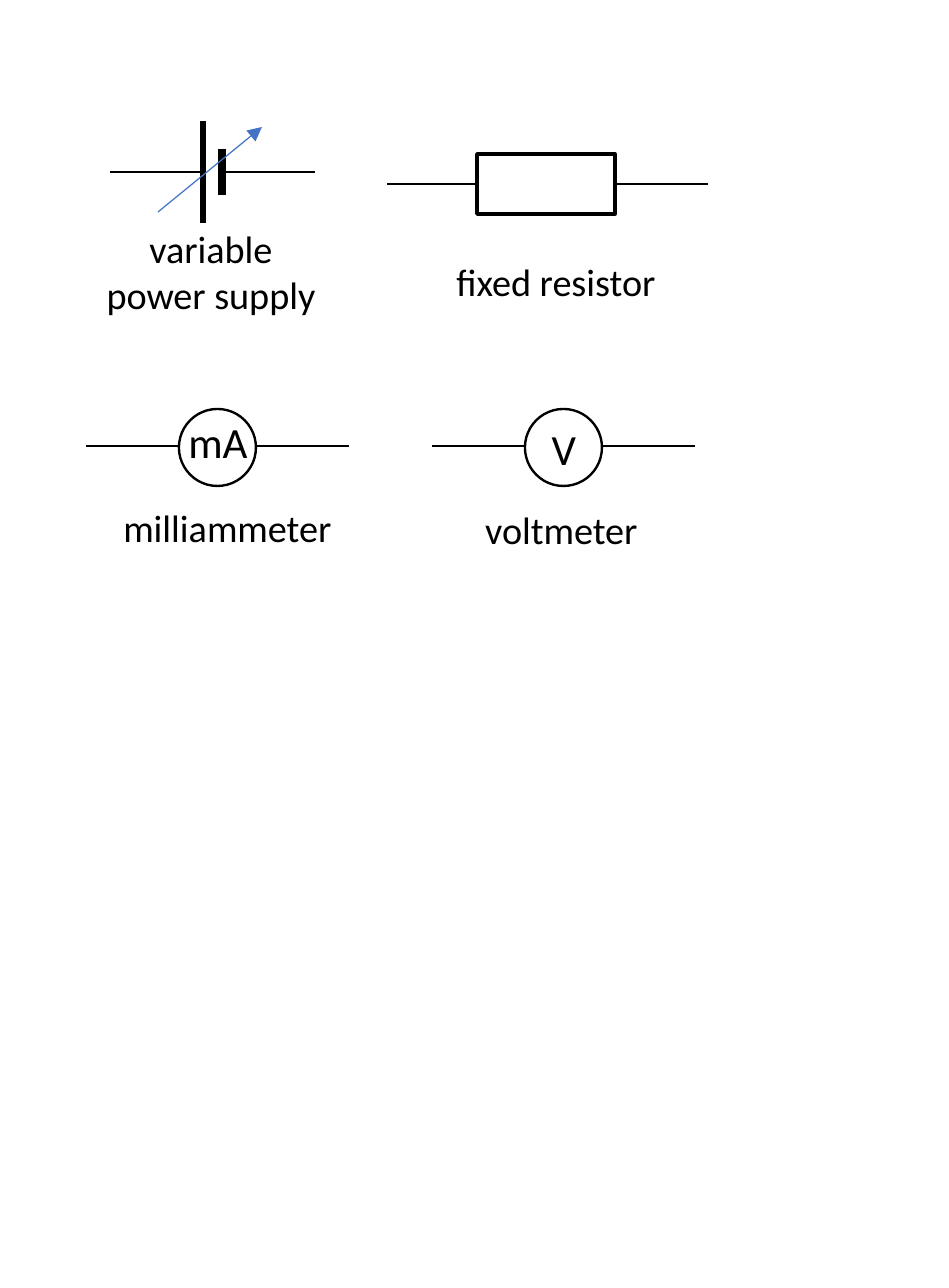
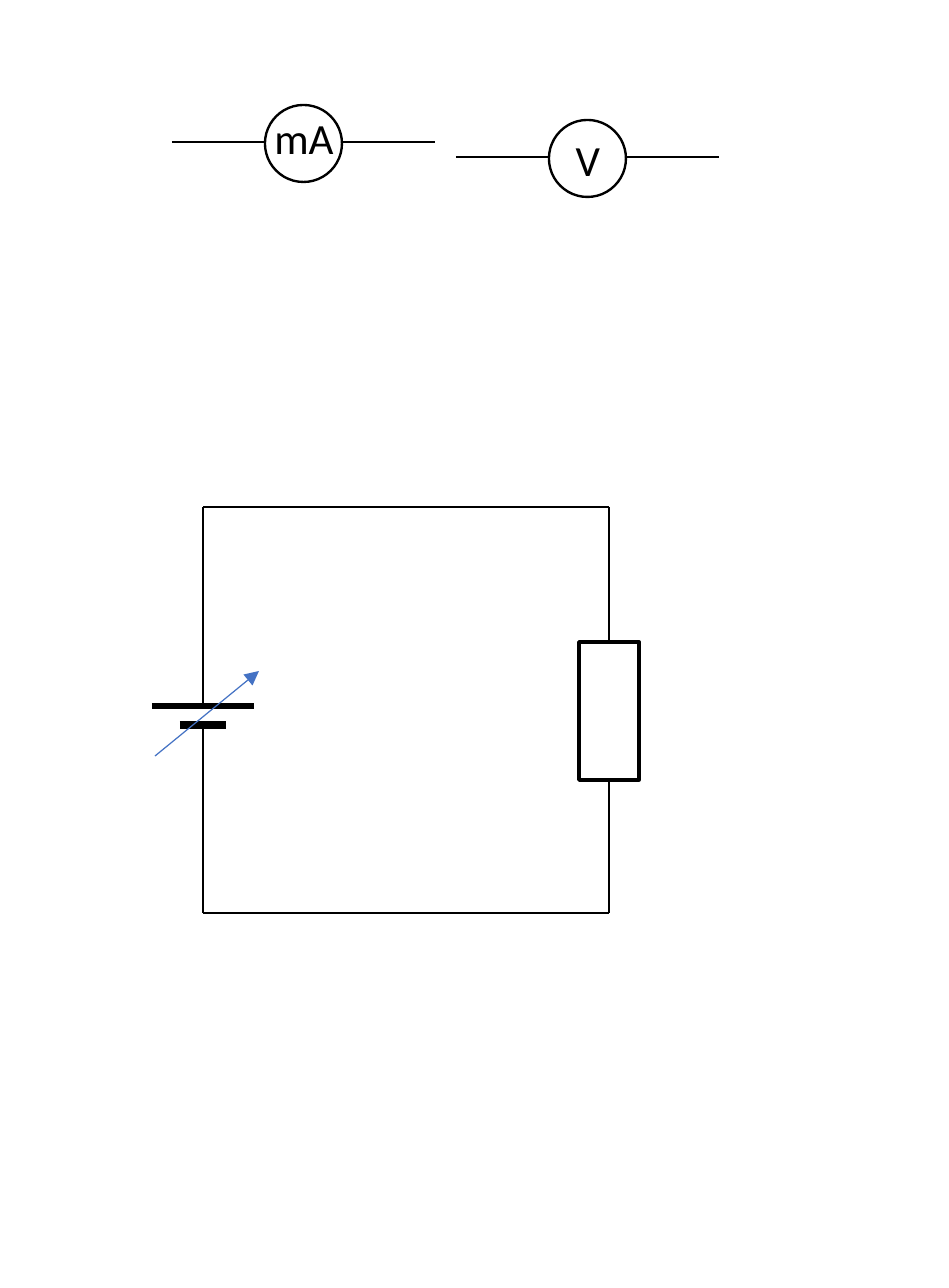
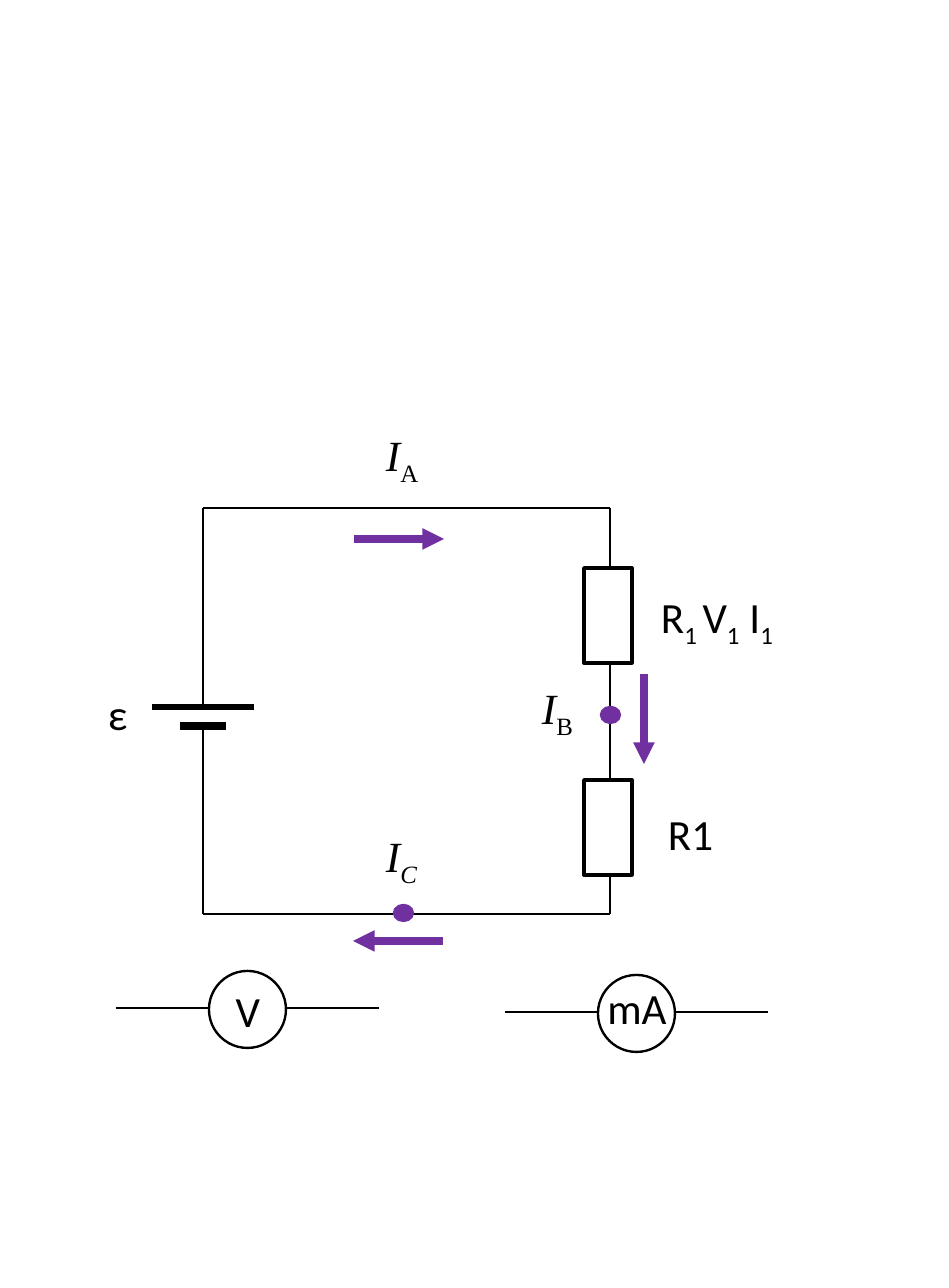
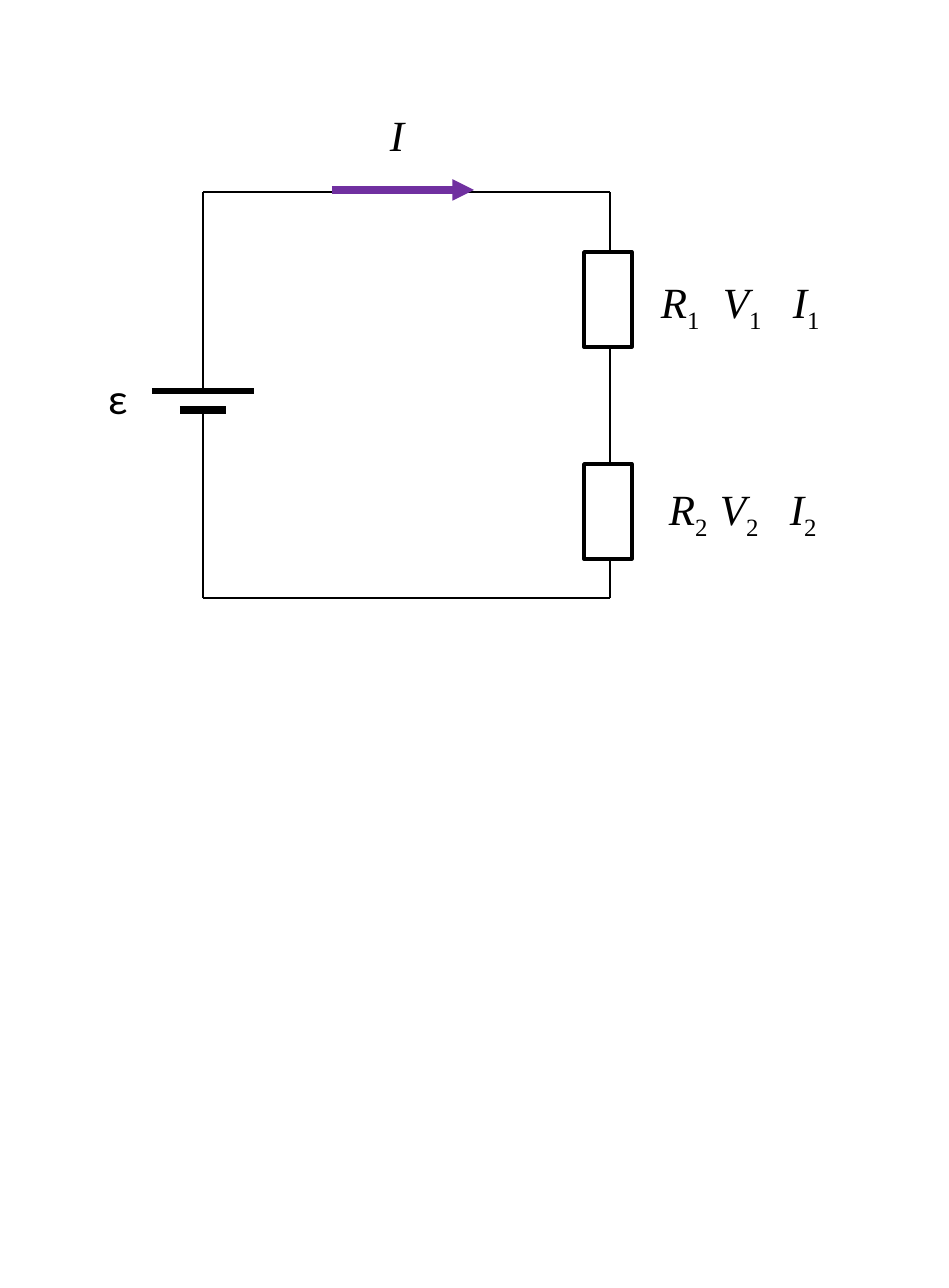
import dataclasses

import lxml.etree
import pptx
import pptx.dml.color
import pptx.enum.shapes
import pptx.enum.text
import pptx.oxml.ns
import pptx.util

PX = 5310
SHAPE = pptx.enum.shapes.MSO_SHAPE
ALIGN = pptx.enum.text.PP_ALIGN
TOP, LEFT, BOTTOM, RIGHT = range(4)


@dataclasses.dataclass(frozen=True)
class Theme:
    ink: str = "000000"
    paper: str = "FFFFFF"
    current: str = "7030A0"
    adjust: str = "4472C4"
    sans: str = "Calibri"
    serif: str = "Times New Roman"
    symbol: int = 18
    caption: int = 16
    wire: float = 1
    outline: float = 1.5
    long_plate: float = 2.25
    heavy: float = 3
    fine: float = 0.5


def rgb(color):
    return pptx.dml.color.RGBColor.from_string(color)


def add_xml(parent, tag, **attributes):
    return lxml.etree.SubElement(parent, pptx.oxml.ns.qn(tag), attributes)


class Diagram:
    def __init__(self, prs, theme):
        self.prs = prs
        self.theme = theme
        self.s = None

    def new_slide(self):
        self.s = self.prs.slides.add_slide(self.prs.slide_layouts[6])

    def line(self, x1, y1, x2, y2, width=None, color=None, arrow=False):
        sp = self.s.shapes.add_connector(
            pptx.enum.shapes.MSO_CONNECTOR.STRAIGHT,
            x1 * PX, y1 * PX, x2 * PX, y2 * PX)
        sp.line.color.rgb = rgb(color or self.theme.ink)
        sp.line.width = pptx.util.Pt(width or self.theme.wire)
        if arrow:
            add_xml(sp.line._get_or_add_ln(), "a:tailEnd", type="triangle")
        add_xml(sp._element.spPr, "a:effectLst")
        return sp

    def shape(self, kind, x, y, w, h, width, color=None, fill=None):
        sp = self.s.shapes.add_shape(kind, x * PX, y * PX, w * PX, h * PX)
        sp.shadow.inherit = False
        if fill:
            sp.fill.solid()
            sp.fill.fore_color.rgb = rgb(fill)
        else:
            sp.fill.background()
        sp.line.color.rgb = rgb(color or self.theme.ink)
        sp.line.width = pptx.util.Pt(width)
        return sp

    def label(self, x, y, w, h, *runs, size=None, font=None,
              align=ALIGN.LEFT, wrap=False, tabs=()):
        sp = self.s.shapes.add_textbox(x * PX, y * PX, w * PX, h * PX)
        tf = sp.text_frame
        tf.word_wrap = wrap
        p = tf.paragraphs[0]
        p.alignment = align
        if tabs:
            stops = add_xml(p._p.get_or_add_pPr(), "a:tabLst")
            for tab in tabs:
                add_xml(stops, "a:tab", pos=str(tab * PX), algn="l")
        for text, style in runs:
            r = p.add_run()
            r.text = text
            r.font.name = font or self.theme.sans
            r.font.size = pptx.util.Pt(size or self.theme.symbol)
            r.font.color.rgb = rgb(self.theme.ink)
            r.font.italic = "i" in style
            if "s" in style:
                r.font._element.set("baseline", "-25000")

    def caption(self, x, y, w, text, h=64, wrap=False):
        self.label(x, y, w, h, (text, ""), size=self.theme.caption,
                   align=ALIGN.CENTER, wrap=wrap)

    def quantity(self, x, y, w, *runs, tabs=()):
        self.label(x, y, w, 69, *runs, font=self.theme.serif,
                   wrap=bool(tabs), tabs=tabs)

    def resistor(self, x, y, w, h):
        return self.shape(SHAPE.RECTANGLE, x, y, w, h, self.theme.outline,
                          fill=self.theme.paper)

    def lead(self, x, y, resistor, side):
        self.line(x, y, x, y).end_connect(resistor, side)

    def cell(self, x, y, vertical=False):
        def stroke(along1, across1, along2, across2, width):
            ends = (along1, across1), (along2, across2)
            if vertical:
                ends = [(across, along) for along, across in ends]
            (x1, y1), (x2, y2) = ends
            self.line(x + x1, y + y1, x + x2, y + y2, width)

        stroke(0, -51, 0, 51, self.theme.long_plate)
        stroke(19, -23, 19, 23, self.theme.heavy)
        stroke(-93, 0, 0, 0, self.theme.wire)
        stroke(19, 0, 112, 0, self.theme.wire)

    def adjuster(self, x, y):
        self.line(x, y, x + 104, y - 85, self.theme.fine,
                  self.theme.adjust, arrow=True)

    def meter(self, x, y, text, drop):
        size, reach = 77, 93
        self.shape(SHAPE.OVAL, x, y, size, size, self.theme.wire)
        for start in (x - reach, x + size):
            self.line(start, y + 37, start + reach, y + 37)
        self.label(x - 9, y + drop, 96, 69, (text, ""), align=ALIGN.CENTER)

    def milliammeter(self, x, y):
        self.meter(x, y, "mA", -2)

    def voltmeter(self, x, y):
        self.meter(x, y, "V", 5)

    def current(self, x1, y1, x2, y2):
        self.line(x1, y1, x2, y2, self.theme.heavy,
                  self.theme.current, arrow=True)

    def node(self, x, y):
        self.shape(SHAPE.OVAL, x, y, 19, 16, self.theme.wire,
                   self.theme.current, self.theme.current)

    def supply_side(self, top, right):
        left, bottom = 203, top + 406
        self.cell(left, top + 199, vertical=True)
        self.line(left, top, left, top + 132)
        self.line(left, bottom, left, top + 274)
        for y in (top, bottom):
            self.line(right, y, left, y)

    def series_circuit(self, top):
        right = 610
        self.supply_side(top, right)
        self.line(right, top, right, top + 406)
        for drop in (60, 272):
            self.resistor(right - 26, top + drop, 48, 95)
        self.label(91, top + 171, 53, 69, ("ε", ""))


def symbols(d):
    d.new_slide()
    d.cell(203, 172)
    d.adjuster(158, 212)
    box = d.resistor(477, 154, 138, 60)
    for x, side in ((387, LEFT), (708, RIGHT)):
        d.lead(x, 184, box, side)
    d.milliammeter(179, 409)
    d.voltmeter(525, 409)
    d.caption(88, 217, 246, "variable power supply", h=110, wrap=True)
    d.caption(437, 250, 238, "fixed resistor")
    d.caption(105, 496, 245, "milliammeter")
    d.caption(467, 498, 189, "voltmeter")


def single_resistor(d):
    top, right = 507, 609
    d.new_slide()
    d.supply_side(top, right)
    d.adjuster(155, 756)
    box = d.resistor(right - 30, 642, 60, 138)
    for y, side in ((top, TOP), (top + 406, BOTTOM)):
        d.lead(right, y, box, side)
    d.milliammeter(265, 105)
    d.voltmeter(549, 120)


def current_points(d):
    d.new_slide()
    d.series_circuit(508)
    d.voltmeter(209, 971)
    d.milliammeter(598, 975)
    d.label(644, 582, 155, 69, ("R", ""), ("1 ", "s"), ("V", ""),
            ("1", "s"), (" I", ""), ("1", "s"))
    d.label(651, 799, 81, 69, ("R1", ""))
    d.node(601, 707)
    d.node(394, 905)
    for x, y, name, style in ((369, 420, "A", "s"), (525, 673, "B", "s"),
                              (369, 821, "C", "si")):
        d.quantity(x, y, 70, ("I", "i"), (name, style))
    d.current(354, 539, 444, 539)
    d.current(644, 674, 644, 764)
    d.current(443, 941, 353, 941)


def series_quantities(d):
    d.new_slide()
    d.series_circuit(192)
    d.current(332, 190, 474, 190)
    d.quantity(373, 100, 50, ("I", "i"))
    for x, y, index, tabs in ((644, 267, "1", (62, 132)),
                              (652, 474, "2", (51, 121))):
        d.quantity(x, y, 210, ("R", "i"), (index, "s"), ("\tV", "i"),
                   (index, "s"), ("\tI", "i"), (index, "s"), tabs=tabs)


def main():
    prs = pptx.Presentation()
    prs.slide_width = 949 * PX
    prs.slide_height = 1288 * PX
    d = Diagram(prs, Theme())
    for build in (symbols, single_resistor, current_points, series_quantities):
        build(d)
    prs.save("out.pptx")


if __name__ == "__main__":
    main()
